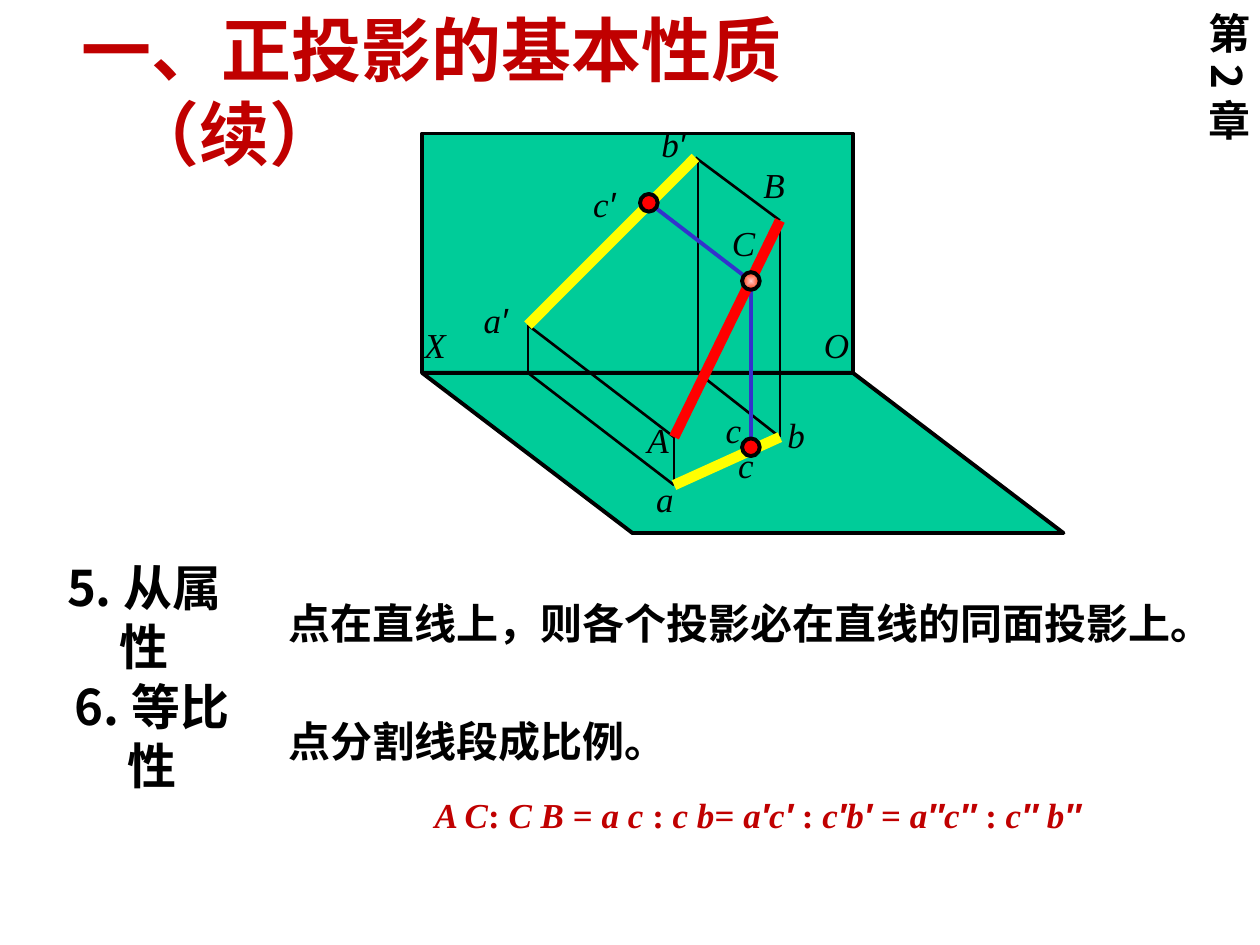
from itertools import groupby

from lxml import etree
from pptx import Presentation
from pptx.dml.color import RGBColor
from pptx.enum.shapes import MSO_CONNECTOR, MSO_SHAPE
from pptx.enum.text import MSO_ANCHOR, MSO_AUTO_SIZE, PP_ALIGN
from pptx.oxml.ns import qn
from pptx.util import Pt

STRAIGHT = MSO_CONNECTOR.STRAIGHT
RECTANGLE, OVAL = MSO_SHAPE.RECTANGLE, MSO_SHAPE.OVAL
LEFT, CENTER = PP_ALIGN.LEFT, PP_ALIGN.CENTER
TOP, MIDDLE = MSO_ANCHOR.TOP, MSO_ANCHOR.MIDDLE
NO_AUTOFIT = MSO_AUTO_SIZE.NONE

BLACK, WHITE, GREEN, YELLOW = "000000", "FFFFFF", "00CC99", "FFFF00"
RED, BLUE, DARK_RED = "FF0000", "3333CC", "C00000"
CJK_JP, CJK_SC = "Noto Sans CJK JP", "Noto Sans CJK SC"

# Capitals are points in space; lower case is the horizontal projection,
# a prime marks the vertical one, and an x marks the foot on the axis.
POINTS = {
    "A": (385.2, 249.8), "B": (445.7, 126), "C": (429.1, 160.6),
    "a": (385.2, 277.2), "b": (445.7, 249.8), "c": (429.1, 255.6),
    "a′": (301.7, 185.8), "b′": (397.4, 90), "c′": (370.8, 115.9),
    "ax": (301.7, 213.1), "bx": (398.9, 213.1), "b′x": (398.9, 91.4),
}
SEGMENTS = [
    (BLACK, 1.5, ["a′ ax", "A a", "b′ B", "a′ A", "ax a", "B b", "b′x bx", "bx b"]),
    (YELLOW, 6, ["b′ a′", "a b"]),
    (BLUE, 2.25, ["c′ C", "C c"]),
    (RED, 6, ["B A"]),
]
LABELS = [
    ("A", 362.9, 235.4), ("B", 429.1, 90), ("b", 442.8, 232.6),
    ("b′", 370.8, 66.2), ("a", 367.9, 269.3), ("a′", 269.3, 167),
    ("X", 235.4, 181.4), ("O", 463.7, 181.4), ("c", 414.7, 249.8),
    ("c′", 331.9, 100.8), ("C", 411.1, 123.1), ("c", 407.5, 229.7),
]
FORMULA = "A C: C B = a c : c b= a′c′ : c′b′ = a″c″ : c″ b″"


def color(hex_value):
    return RGBColor.from_string(hex_value)


def set_attributes(target, values):
    for name, value in values.items():
        setattr(target, name, value)


def add_run(paragraph, text, size, font_name, text_color, bold=False, italic=False):
    run = paragraph.add_run()
    run.text = text
    set_attributes(run.font, {"size": Pt(size), "name": font_name,
                              "bold": bold, "italic": italic})
    run.font.color.rgb = color(text_color)
    east_asian = etree.SubElement(run.font._element, qn("a:ea"))
    east_asian.set("typeface", font_name)


def symbol_kind(character):
    if character in "′″":
        return "prime"
    return "sign" if character in ":=" else "letter"


def add_math(paragraph, text, text_color, bold=False):
    """Write letters in italics, signs upright and primes in Arial."""
    for kind, characters in groupby(text, symbol_kind):
        font_name = "Arial" if kind == "prime" else "Times New Roman"
        add_run(paragraph, "".join(characters), 20, font_name, text_color,
                bold, kind != "sign")


def format_frame(shape, alignment=LEFT, anchor=TOP):
    """Set up the text frame and return its first paragraph."""
    frame = shape.text_frame
    set_attributes(frame, {
        "word_wrap": True, "auto_size": NO_AUTOFIT, "vertical_anchor": anchor,
        "margin_left": Pt(7.2), "margin_right": Pt(7.2),
        "margin_top": Pt(3.6), "margin_bottom": Pt(3.6)})
    paragraph = frame.paragraphs[0]
    set_attributes(paragraph, {"alignment": alignment, "space_before": Pt(0)})
    return paragraph


def add_box(shapes, left, top, width, height, alignment=LEFT, anchor=TOP):
    box = shapes.add_textbox(Pt(left), Pt(top), Pt(width), Pt(height))
    return format_frame(box, alignment, anchor)


def format_shape(shape, fill_color, line_color, line_width):
    shape.shadow.inherit = False
    shape.fill.solid()
    shape.fill.fore_color.rgb = color(fill_color)
    shape.line.color.rgb = color(line_color)
    shape.line.width = Pt(line_width)


def add_shape(shapes, kind, left, top, width, height, fill_color, line_color, line_width):
    shape = shapes.add_shape(kind, Pt(left), Pt(top), Pt(width), Pt(height))
    format_shape(shape, fill_color, line_color, line_width)
    return shape


def add_segment(shapes, start, end, line_color, width):
    line = shapes.add_connector(STRAIGHT, *map(Pt, start + end))
    line.line.color.rgb = color(line_color)
    line.line.width = Pt(width)
    etree.SubElement(line._element.spPr, qn("a:effectLst"))


def add_dot(shapes, center, diameter=10.1):
    left, top = (value - diameter / 2 for value in center)
    return add_shape(shapes, OVAL, left, top, diameter, diameter, RED, BLACK, 2.25)


def set_glow(shape, inner, outer):
    """Fill the shape with a gradient that runs out from its centre."""
    shape.fill.gradient()
    for stop, stop_color in zip(shape.fill.gradient_stops, (inner, outer)):
        stop.color.rgb = color(stop_color)
    gradient = shape._element.spPr.find(qn("a:gradFill"))
    gradient.remove(gradient.find(qn("a:lin")))
    outline = etree.SubElement(gradient, qn("a:path"), {"path": "rect"})
    etree.SubElement(outline, qn("a:fillToRect"),
                     dict.fromkeys("ltrb", "50000"))


def add_planes(shapes):
    add_shape(shapes, RECTANGLE, 241.2, 76.3, 246.2, 136.8, GREEN, BLACK, 2.25)
    builder = shapes.build_freeform(Pt(241.2), Pt(213.1))
    corners = [(361.4, 304.6), (607.7, 304.6), (487.4, 213.1)]
    builder.add_line_segments([(Pt(x), Pt(y)) for x, y in corners], close=True)
    format_shape(builder.convert_to_shape(), GREEN, BLACK, 2.25)


def add_diagram(slide):
    shapes = slide.shapes.add_group_shape().shapes
    add_planes(shapes)
    for text, left, top in LABELS:
        add_math(add_box(shapes, left, top, 40, 31.7), text, BLACK)
    for line_color, width, pairs in SEGMENTS:
        for pair in pairs:
            start, end = pair.split()
            add_segment(shapes, POINTS[start], POINTS[end], line_color, width)
    for name in ("c′", "c"):
        add_dot(shapes, POINTS[name])
    set_glow(add_dot(shapes, POINTS["C"]), "FFCCCC", "FF3300")


def add_title(slide, text):
    title = slide.shapes.title
    set_attributes(title, {"left": Pt(39.6), "top": Pt(0),
                           "width": Pt(504), "height": Pt(49.7)})
    paragraph = format_frame(title)
    paragraph._p.get_or_add_pPr().set("marL", str(Pt(27)))
    paragraph._p.get_or_add_pPr().set("indent", str(Pt(-27)))
    add_run(paragraph, text, 40, CJK_JP, DARK_RED, bold=True)
    slide.shapes._spTree.append(title._element)


def add_property(slide, name, statement, left, top, statement_top):
    label = add_box(slide.shapes, left, top, 128.9, 41, CENTER, MIDDLE)
    add_run(label, name, 28, CJK_SC, BLACK, bold=True)
    description = add_box(slide.shapes, 157.7, statement_top, 562.3, 36)
    add_run(description, statement, 24, CJK_JP, BLACK, bold=True)


def add_chapter_mark(slide, text):
    box = slide.shapes.add_textbox(Pt(676.8), Pt(0), Pt(43.2), Pt(108.7))
    paragraph = format_frame(box)
    set_attributes(box.text_frame, {
        "margin_left": Pt(3.6), "margin_right": Pt(3.6),
        "margin_top": Pt(7.2), "margin_bottom": Pt(7.2)})
    box.text_frame._txBody.bodyPr.set("vert", "eaVert")
    add_run(paragraph, text, 24, CJK_SC, BLACK, bold=True)


def main():
    presentation = Presentation()
    presentation.slide_width, presentation.slide_height = Pt(720), Pt(540)
    slide = presentation.slides.add_slide(presentation.slide_layouts[5])
    add_diagram(slide)
    add_shape(slide.shapes, RECTANGLE, 149.8, 59, 424.8, 7.2, WHITE, WHITE, 0.75)
    add_title(slide, "一、正投影的基本性质（续）")
    add_property(slide, "5.从属性", "点在直线上，则各个投影必在直线的同面投影上。",
                 18, 331.9, 337.7)
    add_property(slide, "6.等比性", "点分割线段成比例。", 22.3, 399.6, 405.4)
    formula = add_box(slide.shapes, 236.2, 450, 393.8, 31.7, CENTER)
    add_math(formula, FORMULA, DARK_RED, bold=True)
    add_chapter_mark(slide, "第2章")
    presentation.save("out.pptx")


if __name__ == "__main__":
    main()
